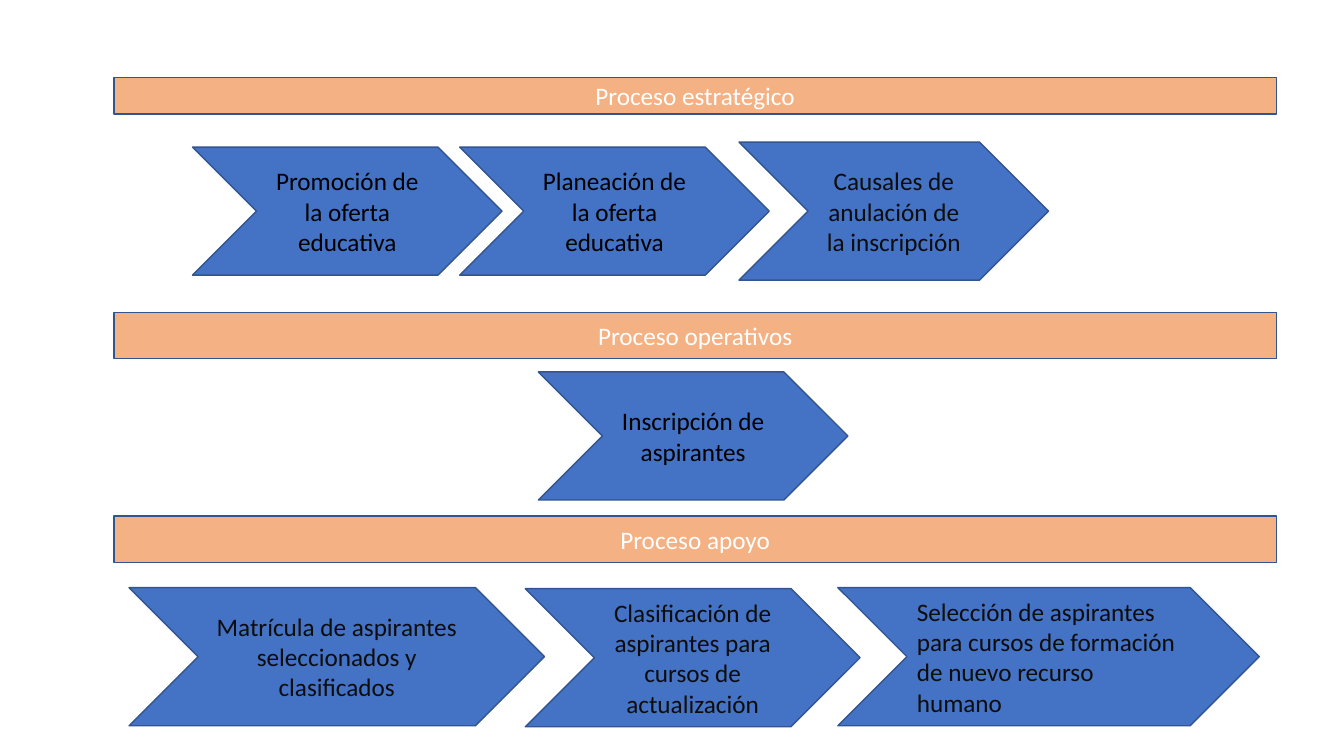
from pptx import Presentation
from pptx.dml.color import RGBColor
from pptx.enum.shapes import MSO_SHAPE as SHAPE
from pptx.enum.text import MSO_ANCHOR as ANCHOR, PP_ALIGN as ALIGN
from pptx.util import Inches, Pt

THEME = {
    "band": RGBColor.from_string("F4B183"),
    "step": RGBColor.from_string("4472C4"),
    "line": RGBColor.from_string("325491"),
    "white": RGBColor.from_string("FFFFFF"),
    "black": RGBColor.from_string("000000"),
    "dark": RGBColor.from_string("0D0D0D"),
    "font": "Calibri",
    "size": Pt(18),
}

prs = Presentation()
prs.slide_width, prs.slide_height = Inches(13.33), Inches(7.5)
slide = prs.slides.add_slide(prs.slide_layouts[6])


def add_box(kind, box, text, fill, color, align=ALIGN.CENTER):
    s = slide.shapes.add_shape(kind, *map(Inches, box))
    s.shadow.inherit = False
    s.fill.solid()
    s.fill.fore_color.rgb = THEME[fill]
    s.line.color.rgb = THEME["line"]
    s.line.width = Pt(1)
    tf = s.text_frame
    tf.word_wrap = True
    tf.vertical_anchor = ANCHOR.MIDDLE
    tf.text = text
    for p in tf.paragraphs:
        p.alignment = align
        p.font.name = THEME["font"]
        p.font.size = THEME["size"]
        p.font.color.rgb = THEME[color]


bands = [
    (0.77, 0.36, "Proceso estratégico"),
    (3.1, 0.46, "Proceso operativos"),
    (5.12, 0.46, "Proceso apoyo"),
]
for top, height, text in bands:
    add_box(SHAPE.RECTANGLE, (1.13, top, 11.53, height), text, "band", "white")

steps = [
    (1.91, 1.46, 3.07, 1.27, "Promoción de la oferta educativa", "black", ALIGN.CENTER),
    (4.56, 1.46, 3.07, 1.27, "Planeación de la oferta educativa", "black", ALIGN.CENTER),
    (7.33, 1.41, 3.07, 1.37, "Causales de anulación de la inscripción", "dark", ALIGN.CENTER),
    (5.34, 3.69, 3.07, 1.27, "Inscripción de aspirantes", "black", ALIGN.CENTER),
    (1.28, 5.83, 4.12, 1.37, "Matrícula de aspirantes seleccionados y clasificados", "dark", ALIGN.CENTER),
    (5.21, 5.84, 3.32, 1.37, "Clasificación de aspirantes para cursos de actualización", "dark", ALIGN.CENTER),
    (8.31, 5.83, 4.18, 1.37,
     "Selección de aspirantes para cursos de formación de nuevo recurso\nhumano", "dark", ALIGN.LEFT),
]
for *box, text, color, align in steps:
    add_box(SHAPE.CHEVRON, box, text, "step", color, align)

prs.save("out.pptx")
